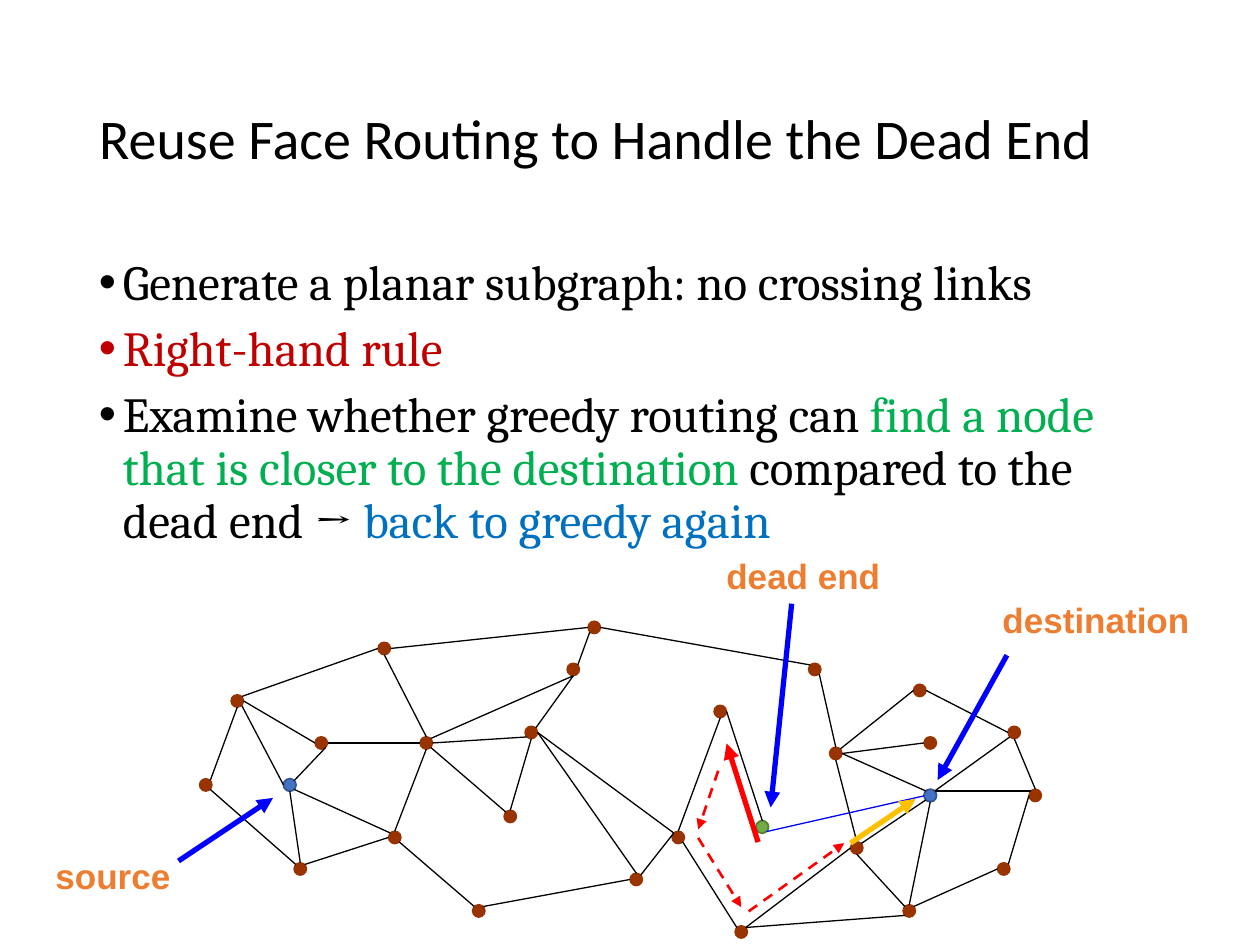
from typing import NamedTuple, Optional

from lxml.etree import SubElement
from pptx import Presentation
from pptx.dml.color import RGBColor
from pptx.enum.dml import MSO_LINE
from pptx.enum.shapes import MSO_CONNECTOR, MSO_SHAPE
from pptx.enum.text import MSO_ANCHOR, MSO_AUTO_SIZE, PP_ALIGN
from pptx.oxml.ns import qn
from pptx.util import Inches, Pt

COLUMNS, ROWS = 120, 90  # grid over the whole slide, 12 cells to the inch
CELL = Inches(10) / COLUMNS
NODE_SIZE = 1.2
NODE_DROP = 0.16  # nodes sit slightly below their grid row

COLORS = {
    "black": "000000", "brown": "993300", "blue": "0000FF", "red": "FF0000",
    "yellow": "FFC000", "orange": "ED7D31", "crimson": "C00000",
    "bright_green": "00B050", "sky": "0070C0",
    "node_blue": "4472C4", "node_blue_edge": "325491",
    "node_green": "70AD47", "node_green_edge": "538035",
}
FORMATS = {
    "title": {"name": "Calibri", "size": Pt(32), "bold": False},
    "body": {"name": "Cambria", "size": Pt(28)},
    "label": {"name": "Arial", "size": Pt(20), "bold": True},
}


class Node(NamedTuple):
    column: float
    row: float
    fill: str = "brown"
    edge: str = "brown"
    width: float = 0.75


class Label(NamedTuple):
    text: str
    column: float
    row: float
    columns: float
    rows: float


class Line(NamedTuple):
    start: tuple
    end: tuple
    color: str = "black"
    width: float = 0.75
    dash: Optional[MSO_LINE] = None
    arrow: bool = False


BULLETS = [
    [("Generate a planar subgraph: no crossing links", "black")],
    [("Right-hand rule", "crimson")],
    [("Examine whether greedy routing can ", "black"),
     ("find a node that is closer to the destination", "bright_green"),
     (" compared to the dead end → ", "black"),
     ("back to greedy again", "sky")],
]
NODES = {
    "A": Node(19, 74), "B": Node(22, 66), "C": Node(28, 82), "D": Node(30, 70),
    "E": Node(37, 79), "F": Node(36, 61), "G": Node(40, 70), "H": Node(45, 86),
    "I": Node(54, 63), "J": Node(56, 59), "K": Node(48, 77), "L": Node(50, 69),
    "M": Node(68, 67), "N": Node(77, 63), "O": Node(60, 83), "P": Node(64, 79),
    "Q": Node(81, 80), "R": Node(79, 71), "S": Node(87, 65), "T": Node(88, 70),
    "U": Node(96, 69), "V": Node(98, 75), "W": Node(95, 82), "X": Node(86, 86),
    "Y": Node(70, 88),
    "source": Node(27, 74, "node_blue", "node_blue_edge", 1),
    "dead": Node(72, 78, "node_green", "node_green_edge", 1),
    "goal": Node(88, 75, "node_blue", "node_blue_edge", 1),
}
# Links join compass points on the rims of two nodes
LINKS = """
A.NE-B.S B.NE-F.W F.E-J.W J.E-N.NW A.SE-C.NW B.SE-source.W B.E-D.W
source.NE-D.SE D.E-G.W G.N-F.S C.N-source.S C.NE-E.W E.NW-source.SE E.N-G.S
G.NE-I.S I.NE-J.SW G.E-L.SW I.S-L.NE G.SE-K.NW L.S-K.N E.SE-H.NW H.NE-O.W
O.N-L.E O.NE-P.NW P.NW-L.E P.N-M.S M.E-dead.N P.SE-Y.NW Y.NE-Q.W Q.N-R.S
R.N-N.SE R.NE-S.W R.E-T.W R.E-goal.NW goal.SW-Q.NE Q.S-X.NW Y.NE-X.SW
goal.S-X.N X.NE-W.W W.NE-V.W goal.NE-V.NW V.N-U.S goal.NE-U.SW U.W-S.E
""".split()
LABELS = [
    Label("source", 4.1, 80.8, 13.8, 5.2),
    Label("destination", 94.3, 56.4, 20.2, 5.2),
    Label("dead end", 68, 52.2, 17.4, 5.3),
]
POINTERS = [
    Line((17, 82), (26, 76), "blue", 3, arrow=True),
    Line((95.9, 62.4), (89.3, 74.3), "blue", 3, arrow=True),
    Line((75.4, 57.5), (73.4, 76.9), "blue", 3, arrow=True),
    Line((73, 79.2), (88, 75.8), "blue"),
    Line((72.2, 80.2), (69.2, 70.8), "red", 3, arrow=True),
    Line((68.4, 73.4), (66.5, 79), "red", 1.5, MSO_LINE.DASH, True),
    Line((66.5, 79.8), (70.6, 86.4), "red", 1.5, MSO_LINE.DASH, True),
    Line((71.3, 86.8), (80.4, 80.3), "red", 1.5, MSO_LINE.DASH, True),
    Line((81, 80.3), (87.2, 76.1), "yellow", 3, arrow=True),
]


def cells(*values: float) -> list:
    return [round(value * CELL) for value in values]


def color(name: str) -> RGBColor:
    return RGBColor.from_string(COLORS[name])


def add_run(paragraph, text: str, style: str, color_name: str) -> None:
    run = paragraph.add_run()
    run.text = text
    for attribute, value in FORMATS[style].items():
        setattr(run.font, attribute, value)
    run.font.color.rgb = color(color_name)


def rim_point(place: str) -> tuple:
    name, compass = place.split(".")
    node = NODES[name]
    reach = NODE_SIZE / 2 * (0.71 if len(compass) == 2 else 1)
    across = ("E" in compass) - ("W" in compass)
    down = ("S" in compass) - ("N" in compass)
    return (node.column + NODE_SIZE / 2 + across * reach,
            node.row + NODE_DROP + NODE_SIZE / 2 + down * reach)


def draw_node(slide, node: Node) -> None:
    shape = slide.shapes.add_shape(
        MSO_SHAPE.OVAL,
        *cells(node.column, node.row + NODE_DROP, NODE_SIZE, NODE_SIZE))
    shape.shadow.inherit = False
    shape.fill.solid()
    shape.fill.fore_color.rgb = color(node.fill)
    shape.line.color.rgb = color(node.edge)
    shape.line.width = Pt(node.width)


def draw_line(slide, line: Line) -> None:
    connector = slide.shapes.add_connector(
        MSO_CONNECTOR.STRAIGHT, *cells(*line.start, *line.end))
    connector.line.color.rgb = color(line.color)
    connector.line.width = Pt(line.width)
    if line.dash:
        connector.line.dash_style = line.dash
    properties = connector._element.spPr
    if line.arrow:
        SubElement(properties.find(qn("a:ln")), qn("a:tailEnd"), type="triangle")
    SubElement(properties, qn("a:effectLst"))


def draw_label(slide, label: Label) -> None:
    box = slide.shapes.add_textbox(
        *cells(label.column, label.row, label.columns, label.rows))
    frame = box.text_frame
    frame.word_wrap = False
    frame.auto_size = MSO_AUTO_SIZE.SHAPE_TO_FIT_TEXT
    frame.vertical_anchor = MSO_ANCHOR.MIDDLE
    add_run(frame.paragraphs[0], label.text, "label", "orange")


def draw_title(slide, text: str) -> None:
    title = slide.shapes.title
    title.left, title.top, title.width, title.height = cells(8.25, 4.8, 103.5, 17.4)
    frame = title.text_frame
    frame.auto_size = MSO_AUTO_SIZE.NONE
    frame.vertical_anchor = MSO_ANCHOR.MIDDLE
    paragraph = frame.paragraphs[0]
    paragraph.alignment = PP_ALIGN.LEFT
    paragraph.line_spacing = 0.9
    add_run(paragraph, text, "title", "black")


def draw_bullets(slide) -> None:
    frame = slide.shapes.add_textbox(*cells(8.25, 24, 103.5, 57.1)).text_frame
    frame.word_wrap = True
    for index, runs in enumerate(BULLETS):
        paragraph = frame.add_paragraph() if index else frame.paragraphs[0]
        paragraph.line_spacing = 0.9
        paragraph.space_before = Pt(7.5)
        properties = paragraph._p.get_or_add_pPr()
        properties.set("marL", str(Inches(0.19)))
        properties.set("indent", str(-Inches(0.19)))
        SubElement(properties, qn("a:buFont"), typeface="Arial")
        SubElement(properties, qn("a:buChar"), char="•")
        for text, color_name in runs:
            add_run(paragraph, text, "body", color_name)


def main() -> None:
    presentation = Presentation()
    presentation.slide_width, presentation.slide_height = cells(COLUMNS, ROWS)
    slide = presentation.slides.add_slide(presentation.slide_layouts[5])

    # Title and rules
    draw_title(slide, "Reuse Face Routing to Handle the Dead End")
    draw_bullets(slide)

    # Network graph
    for node in NODES.values():
        draw_node(slide, node)
    for link in LINKS:
        start, end = link.split("-")
        draw_line(slide, Line(rim_point(start), rim_point(end)))

    # Labels and route arrows
    for label in LABELS:
        draw_label(slide, label)
    for pointer in POINTERS:
        draw_line(slide, pointer)

    presentation.save("out.pptx")


if __name__ == "__main__":
    main()
